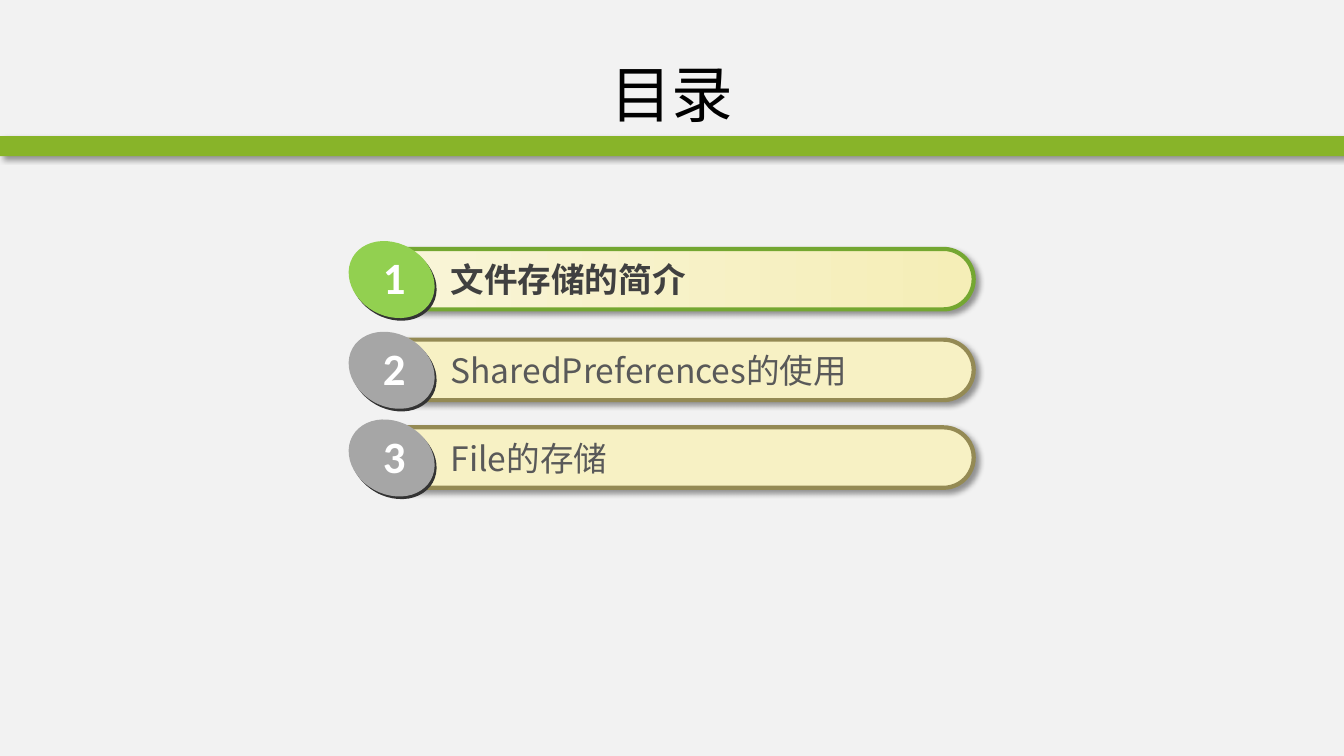
from dataclasses import dataclass

from lxml import etree
from pptx import Presentation
from pptx import util as u
from pptx.dml.color import RGBColor
from pptx.enum import shapes, text
from pptx.oxml import ns


@dataclass(frozen=True)
class Theme:
    background: str = "F2F2F2"
    bar: str = "88B429"
    title: str = "000000"
    number: str = "FFFFFF"
    badge_edge: str = "333333"
    badge_active: str = "92D050"
    badge_idle: str = "A6A6A6"
    pill_active: tuple = ("F9F5D9", "F5EEB7")
    pill_idle: tuple = ("F7F1C4",)
    border_active: str = "74A731"
    border_idle: str = "948A54"
    label_active: str = "404040"
    label_idle: str = "595959"
    shadow: str = "000000"
    text_font: str = "Noto Sans CJK SC"
    number_font: str = "Calibri"
    title_size: int = 44
    label_size: int = 24
    number_size: int = 32
    border_width: int = 3


class AgendaSlide:
    """Draws on one slide; every box is (left, top, width, height) in percent of it."""

    def __init__(self, presentation, theme):
        self.theme = theme
        self.width = presentation.slide_width
        self.height = presentation.slide_height
        self.slide = presentation.slides.add_slide(presentation.slide_layouts[6])
        fill = self.slide.background.fill
        fill.solid()
        fill.fore_color.rgb = RGBColor.from_string(theme.background)

    def place(self, box):
        left, top, width, height = box
        return (round(left * self.width / 100), round(top * self.height / 100),
                round(width * self.width / 100), round(height * self.height / 100))

    def add_shape(self, parent, kind, box, colors, border=None, shadow=False):
        """Two colours make a left-to-right gradient, one a solid fill."""
        shape = parent.add_shape(kind, *self.place(box))
        if len(colors) == 2:
            shape.fill.gradient()
            shape.fill.gradient_angle = 0
            for stop, color in zip(shape.fill.gradient_stops, colors):
                stop.color.rgb = RGBColor.from_string(color)
        else:
            shape.fill.solid()
            shape.fill.fore_color.rgb = RGBColor.from_string(colors[0])
        if border:
            shape.line.color.rgb = RGBColor.from_string(border)
            shape.line.width = u.Pt(self.theme.border_width)
        else:
            shape.line.fill.background()
        shape.shadow.inherit = False
        if shadow:
            self.cast_shadow(shape)
        return shape

    def cast_shadow(self, shape):
        effects = shape.element.spPr.find(ns.qn("a:effectLst"))
        outer = etree.SubElement(
            effects, ns.qn("a:outerShdw"), blurRad=str(u.Pt(4)), dist=str(u.Pt(3)),
            dir="2700000", algn="tl", rotWithShape="0")
        color = etree.SubElement(outer, ns.qn("a:srgbClr"), val=self.theme.shadow)
        etree.SubElement(color, ns.qn("a:alpha"), val="40000")

    def add_text(self, parent, box, words, size, color, font, bold=False,
                 wrap=True, grow=True):
        shape = parent.add_textbox(*self.place(box))
        frame = shape.text_frame
        frame.word_wrap = wrap
        frame.auto_size = (text.MSO_AUTO_SIZE.SHAPE_TO_FIT_TEXT if grow
                           else text.MSO_AUTO_SIZE.NONE)
        run = frame.paragraphs[0].add_run()
        run.text = words
        run.font.size = u.Pt(size)
        run.font.bold = bold
        run.font.color.rgb = RGBColor.from_string(color)
        run.font.name = font
        etree.SubElement(run.font._element, ns.qn("a:ea"), typeface=font)
        return shape

    def add_bar(self):
        self.add_shape(self.slide.shapes, shapes.MSO_SHAPE.RECTANGLE,
                       (0, 18, 100, 2.67), (self.theme.bar,), shadow=True)

    def add_title(self, words):
        theme = self.theme
        shape = self.add_text(self.slide.shapes, (5, 4, 90, 16.67), words,
                              theme.title_size, theme.title, theme.text_font, grow=False)
        shape.text_frame.vertical_anchor = text.MSO_ANCHOR.MIDDLE
        shape.text_frame.paragraphs[0].alignment = text.PP_ALIGN.CENTER

    def add_badge(self, parent, top, number, color):
        theme = self.theme
        layers = ((25.95, top - 0.4, theme.badge_edge), (25.8, top - 0.75, color))
        for left, layer_top, layer_color in layers:
            oval = self.add_shape(parent, shapes.MSO_SHAPE.OVAL,
                                  (left, layer_top, 6.68, 9.6), (layer_color,))
            oval.rotation = 29.3
        self.add_text(parent, (27.75, top - 0.5, 3.23, 8.53), str(number),
                      theme.number_size, theme.number, theme.number_font,
                      bold=True, wrap=False)

    def add_entry(self, top, number, words, active):
        theme = self.theme
        parent = self.slide.shapes.add_group_shape().shapes
        pill = self.add_shape(
            parent, shapes.MSO_SHAPE.ROUNDED_RECTANGLE, (27.45, top, 45, 8),
            theme.pill_active if active else theme.pill_idle,
            theme.border_active if active else theme.border_idle, shadow=True)
        pill.adjustments[0] = 0.5
        self.add_text(parent, (32.78, top + 0.7, 34.43, 6.8), words, theme.label_size,
                      theme.label_active if active else theme.label_idle,
                      theme.text_font, bold=active)
        self.add_badge(parent, top, number,
                       theme.badge_active if active else theme.badge_idle)


def main():
    presentation = Presentation()
    presentation.slide_width = u.Inches(13.33)
    presentation.slide_height = u.Inches(7.5)
    agenda = AgendaSlide(presentation, Theme())
    agenda.add_bar()
    agenda.add_title("目录")
    entries = ((32.93, "文件存储的简介"),
               (44.93, "SharedPreferences的使用"),
               (56.53, "File的存储"))
    for number, (top, words) in enumerate(entries, start=1):
        agenda.add_entry(top, number, words, active=number == 1)
    presentation.save("out.pptx")


if __name__ == "__main__":
    main()
